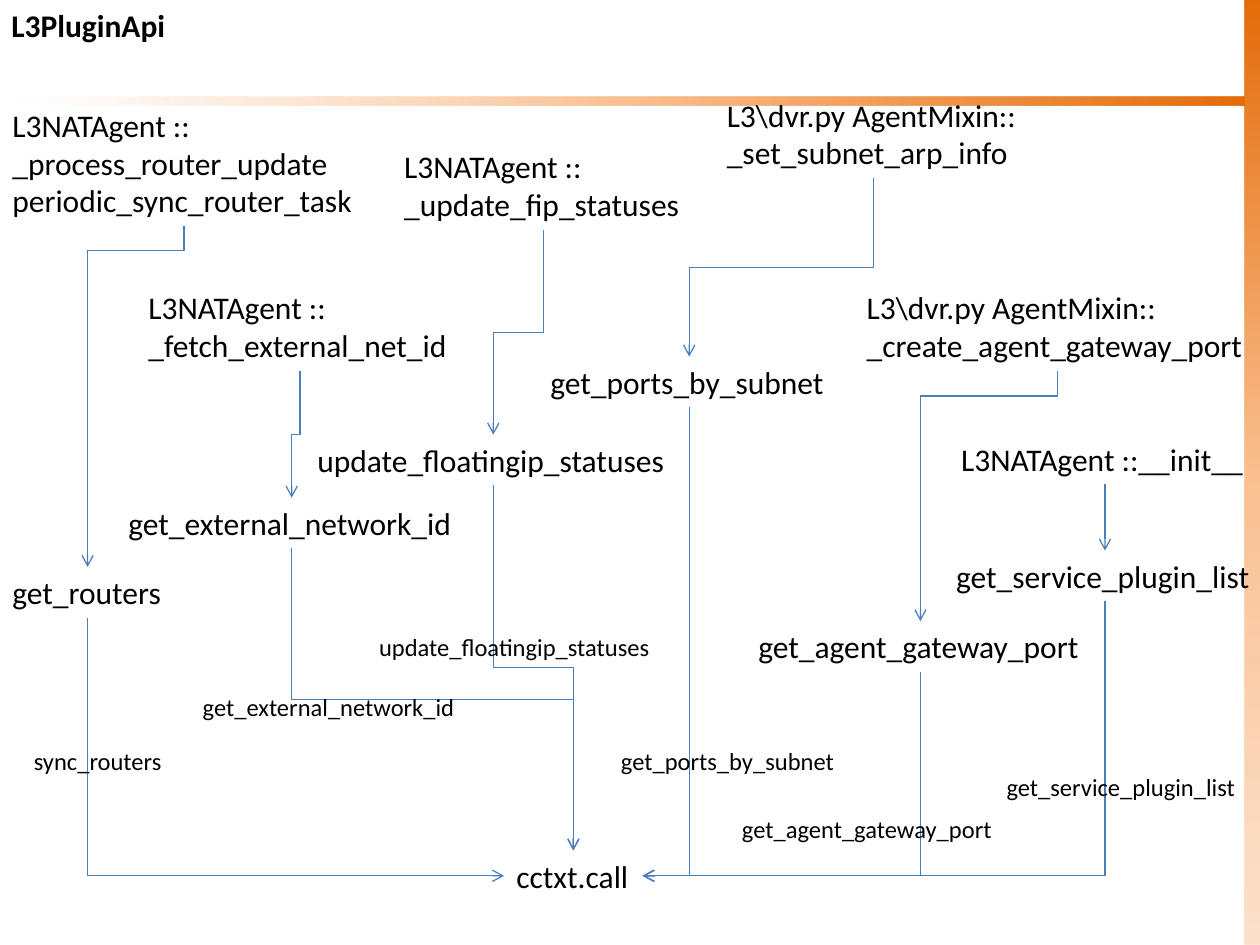
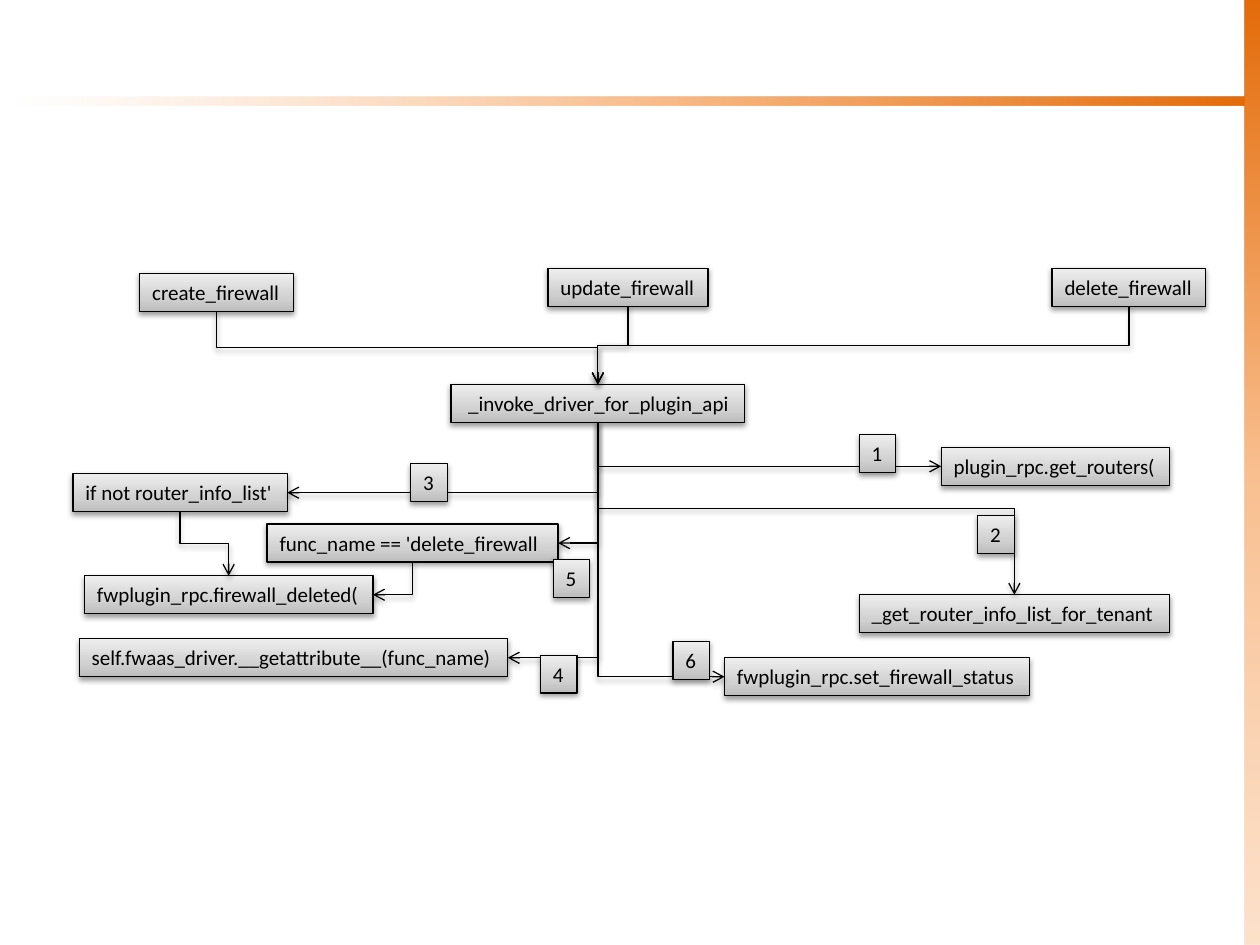
"""Build two call-graph slides for the L3 plugin API and the firewall driver."""
from dataclasses import dataclass
from typing import Any

import pptx
import pptx.dml.color
import pptx.enum.shapes
import pptx.enum.text
import pptx.oxml
import pptx.oxml.ns
import pptx.util

qn = pptx.oxml.ns.qn
DRAWING = pptx.oxml.ns.nsdecls("a")
SHAPES = pptx.enum.shapes.MSO_SHAPE
CONNECTORS = pptx.enum.shapes.MSO_CONNECTOR
COLUMNS, ROWS = 100, 75
CELL = pptx.util.Inches(10) // COLUMNS
BOTTOM, TOP, LEFT, RIGHT = 2, 0, 1, 3

BLACK, BLUE = "000000", "4B7EBC"
GREY_STOPS = ((0, "BDBDBD", 100), (35, "D1D1D1", 100), (100, "EEEEEE", 100))
FRAME_FORMAT = {
    "word_wrap": False,
    "auto_size": pptx.enum.text.MSO_AUTO_SIZE.NONE,
    "vertical_anchor": pptx.enum.text.MSO_ANCHOR.TOP,
}


@dataclass(frozen=True)
class Box:
    """Text with its left column, top row and width in columns."""
    text: str
    column: float
    row: float
    width: float

    @property
    def name(self) -> str:
        """Return the last line, which links refer to."""
        return self.text.split("\n")[-1].strip()


@dataclass(frozen=True)
class Link:
    """An arrow from the bottom of one box to a side of another."""
    source: str
    target: str
    side: int = TOP
    bend: float = 0.5
    straight: bool = False


@dataclass(frozen=True)
class Style:
    """The look of the boxes and arrows on one slide."""
    size: int
    line: str
    raised: bool


CALLS = Style(18, BLUE, False)
CALL_LABELS = Style(14, BLUE, False)
STEPS = Style(12, BLACK, True)

API_BOXES = (
    Box("cctxt.call", 40, 67.5, 11),
    Box("get_routers", 0, 45, 13.9),
    Box("get_external_network_id", 9.2, 39.5, 27.9),
    Box("update_floatingip_statuses", 24.2, 34.5, 29.9),
    Box("get_ports_by_subnet", 42.7, 28.3, 24),
    Box("get_agent_gateway_port", 59.2, 49.3, 27.7),
    Box("get_service_plugin_list", 74.9, 43.7, 25.6),
    Box("L3NATAgent ::__init__", 75.3, 34.4, 24.8),
    Box("L3\\dvr.py AgentMixin::\n_create_agent_gateway_port", 67.8, 22.4, 32.2),
    Box("L3\\dvr.py AgentMixin::\n_set_subnet_arp_info", 56.7, 7.1, 25.3),
    Box("L3NATAgent ::\n_update_fip_statuses", 31.1, 11.2, 24.1),
    Box("L3NATAgent ::\n_process_router_update\nperiodic_sync_router_task", 0, 7.9, 29.2),
    Box("L3NATAgent ::\n_fetch_external_net_id", 10.8, 22.4, 26),
)
API_LABELS = (
    Box("get_external_network_id", 15.1, 54.4, 22.2),
    Box("sync_routers", 1.7, 58.7, 12.3),
    Box("update_floatingip_statuses", 29.1, 49.7, 23.8),
    Box("get_ports_by_subnet", 48.3, 58.7, 19.1),
    Box("get_agent_gateway_port", 57.9, 64.1, 22.1),
    Box("get_service_plugin_list", 78.9, 60.8, 20.4),
)
API_LINKS = (
    Link("get_routers", "cctxt.call", LEFT),
    Link("get_external_network_id", "cctxt.call"),
    Link("update_floatingip_statuses", "cctxt.call"),
    Link("get_ports_by_subnet", "cctxt.call", RIGHT),
    Link("get_agent_gateway_port", "cctxt.call", RIGHT),
    Link("get_service_plugin_list", "cctxt.call", RIGHT),
    Link("_set_subnet_arp_info", "get_ports_by_subnet"),
    Link("_update_fip_statuses", "update_floatingip_statuses"),
    Link("periodic_sync_router_task", "get_routers", bend=0.07),
    Link("_fetch_external_net_id", "get_external_network_id"),
    Link("L3NATAgent ::__init__", "get_service_plugin_list", straight=True),
    Link("_create_agent_gateway_port", "get_agent_gateway_port", bend=0.1),
)

DRIVER = "_invoke_driver_for_plugin_api"
DELETED = "fwplugin_rpc.firewall_deleted("
FIREWALL_BOXES = (
    Box("create_firewall", 11.1, 21.7, 12.2),
    Box("update_firewall", 43.5, 21.3, 12.7),
    Box("delete_firewall", 83.5, 21.3, 12.2),
    Box(" " + DRIVER, 35.8, 30.5, 23.3),
    Box("_get_router_info_list_for_tenant", 68.2, 47.2, 24.6),
    Box("plugin_rpc.get_routers(", 74.7, 35.5, 18.1),
    Box("if not router_info_list'", 5.8, 37.6, 17),
    Box(DELETED, 6.7, 45.7, 22.9),
    Box("self.fwaas_driver.__getattribute__(func_name)", 6.3, 50.7, 34),
    Box("fwplugin_rpc.set_firewall_status", 57.5, 52.2, 24.2),
    Box("func_name == 'delete_firewall", 21.2, 41.6, 23.1),
)
FIREWALL_LINKS = (
    Link("create_firewall", DRIVER),
    Link("update_firewall", DRIVER),
    Link("delete_firewall", DRIVER),
    Link(DRIVER, "plugin_rpc.get_routers(", LEFT),
    Link(DRIVER, "_get_router_info_list_for_tenant"),
    Link(DRIVER, "if not router_info_list'", RIGHT),
    Link("if not router_info_list'", DELETED),
    Link(DRIVER, "self.fwaas_driver.__getattribute__(func_name)", RIGHT),
    Link(DRIVER, "func_name == 'delete_firewall", RIGHT),
    Link("func_name == 'delete_firewall", DELETED, RIGHT),
    Link(DRIVER, "fwplugin_rpc.set_firewall_status", LEFT),
)
BADGE_SPOTS = ((68.2, 34.5), (77.6, 40.9), (32.6, 36.8), (42.9, 52), (43.9, 44.4), (53.4, 50.9))
BADGES = tuple(Box(str(step), column, row, 2.9)
               for step, (column, row) in enumerate(BADGE_SPOTS, start=1))


def grid(*cells: float) -> list[int]:
    """Turn grid cells into lengths."""
    return [round(cell * CELL) for cell in cells]


def colour(value: str) -> pptx.dml.color.RGBColor:
    """Turn a hex string into a colour."""
    return pptx.dml.color.RGBColor.from_string(value)


def assign(target: Any, values: dict[str, Any]) -> None:
    """Set each named format value on an object."""
    for name, value in values.items():
        setattr(target, name, value)


def place(shape: Any, box: Box, size: int) -> None:
    """Give a shape its place, with a height that follows its lines of text."""
    height = 1 + 0.168 * size * len(box.text.split("\n"))
    left, top, width, tall = grid(box.column, box.row, box.width, height)
    assign(shape, {"left": left, "top": top, "width": width, "height": tall})


def write(shape: Any, text: str, size: int, bold: bool = False) -> None:
    """Write left-aligned black text, one paragraph a line."""
    frame = shape.text_frame
    frame.text = text
    assign(frame, FRAME_FORMAT)
    for para in frame.paragraphs:
        para.alignment = pptx.enum.text.PP_ALIGN.LEFT
        for span in para.runs:
            assign(span.font, {"name": "Calibri", "size": pptx.util.Pt(size), "bold": bold})
            span.font.color.rgb = colour(BLACK)


def shade(shape: Any, stops: tuple, angle: int) -> None:
    """Fill a shape with a gradient of position, colour and opacity stops."""
    shape.fill.gradient()
    properties = shape.element.spPr
    marks = "".join(
        f'<a:gs pos="{position * 1000}"><a:srgbClr val="{value}">'
        f'<a:alpha val="{opacity * 1000}"/></a:srgbClr></a:gs>'
        for position, value, opacity in stops)
    properties.replace(properties.find(qn("a:gradFill")), pptx.oxml.parse_xml(
        f'<a:gradFill {DRAWING} rotWithShape="1"><a:gsLst>{marks}</a:gsLst>'
        f'<a:lin ang="{angle * 60000}" scaled="0"/></a:gradFill>'))


def outline(shape: Any, style: Style) -> None:
    """Draw the thin line of a style, and its shadow if it is raised."""
    shape.line.color.rgb = colour(style.line)
    shape.line.width = pptx.util.Pt(0.75)
    shadow = ('<a:outerShdw blurRad="40000" dist="20000" dir="5400000" rotWithShape="0">'
              f'<a:srgbClr val="{BLACK}"><a:alpha val="38000"/></a:srgbClr></a:outerShdw>')
    shape.element.spPr.append(pptx.oxml.parse_xml(
        f'<a:effectLst {DRAWING}>{shadow if style.raised else ""}</a:effectLst>'))


def add_box(page: Any, box: Box, style: Style) -> Any:
    """Add a plain text box or a raised grey rectangle."""
    if style.raised:
        shape = page.shapes.add_shape(SHAPES.RECTANGLE, 0, 0, 0, 0)
        shade(shape, GREY_STOPS, 270)
        outline(shape, style)
    else:
        shape = page.shapes.add_textbox(0, 0, 0, 0)
    place(shape, box, style.size)
    write(shape, box.text, style.size)
    return shape


def bend_down(arrow: Any, link: Link) -> None:
    """Turn an elbow connector so that it leaves its source downwards."""
    across, down = arrow.end_x - arrow.begin_x, arrow.end_y - arrow.begin_y
    centre_x, centre_y = arrow.begin_x + across // 2, arrow.begin_y + down // 2
    properties = arrow.element.spPr
    turn = {"rot": "16200000" if across > 0 else "5400000",
            "flipH": "1" if across > 0 else "0", "flipV": "0"}
    for name, value in turn.items():
        properties.find(qn("a:xfrm")).set(name, value)
    assign(arrow, {"left": centre_x - down // 2, "top": centre_y - abs(across) // 2,
                   "width": down, "height": abs(across)})
    kind = "bentConnector3" if link.side == TOP else "bentConnector2"
    guide = f'<a:gd name="adj1" fmla="val {round(link.bend * 100000)}"/>'
    properties.replace(properties.find(qn("a:prstGeom")), pptx.oxml.parse_xml(
        f'<a:prstGeom {DRAWING} prst="{kind}"><a:avLst>'
        f'{guide if link.side == TOP else ""}</a:avLst></a:prstGeom>'))


def add_link(page: Any, link: Link, shapes: dict[str, Any], style: Style) -> None:
    """Join two boxes with an arrow."""
    kind = CONNECTORS.STRAIGHT if link.straight else CONNECTORS.ELBOW
    arrow = page.shapes.add_connector(kind, 0, 0, 0, 0)
    arrow.begin_connect(shapes[link.source], BOTTOM)
    arrow.end_connect(shapes[link.target], link.side)
    if not link.straight:
        bend_down(arrow, link)
    outline(arrow, style)
    arrow.line._get_or_add_ln().append(
        pptx.oxml.parse_xml(f'<a:tailEnd {DRAWING} type="arrow"/>'))


def add_graph(page: Any, boxes: tuple, links: tuple, style: Style) -> None:
    """Draw the boxes of a call graph and the arrows between them."""
    shapes = {box.name: add_box(page, box, style) for box in boxes}
    for link in links:
        add_link(page, link, shapes, style)


def add_bands(deck: Any, page: Any) -> None:
    """Put the two orange bands on the slide master."""
    bands = (((98.8, 0, 1.2, ROWS), 90, 69), ((1.2, 7.65, 97.6, 0.75), 180, 0))
    for number, (area, angle, opacity) in enumerate(bands, start=101):
        band = page.shapes.add_shape(SHAPES.RECTANGLE, *grid(*area))
        shade(band, ((0, "E46C0A", 100), (50, "FAC090", 100), (100, "FCD5B5", opacity)), angle)
        band.line.fill.background()
        band.shadow.inherit = False
        band.element.nvSpPr.cNvPr.set("id", str(number))
        deck.slide_master.shapes.element.append(band.element)


def main() -> None:
    """Build and save the deck."""
    deck = pptx.Presentation()
    deck.slide_width, deck.slide_height = grid(COLUMNS, ROWS)

    page = deck.slides.add_slide(deck.slide_layouts.get_by_name("Title Only"))
    add_bands(deck, page)
    title = Box("L3PluginApi", -0.1, 0, 14.3)
    place(page.shapes.title, title, CALLS.size)
    write(page.shapes.title, title.text, CALLS.size, bold=True)
    add_graph(page, API_BOXES, API_LINKS, CALLS)
    for label in API_LABELS:
        add_box(page, label, CALL_LABELS)

    page = deck.slides.add_slide(deck.slide_layouts.get_by_name("Blank"))
    add_graph(page, FIREWALL_BOXES, FIREWALL_LINKS, STEPS)
    for badge in BADGES:
        add_box(page, badge, STEPS)

    deck.save("out.pptx")


if __name__ == "__main__":
    main()
